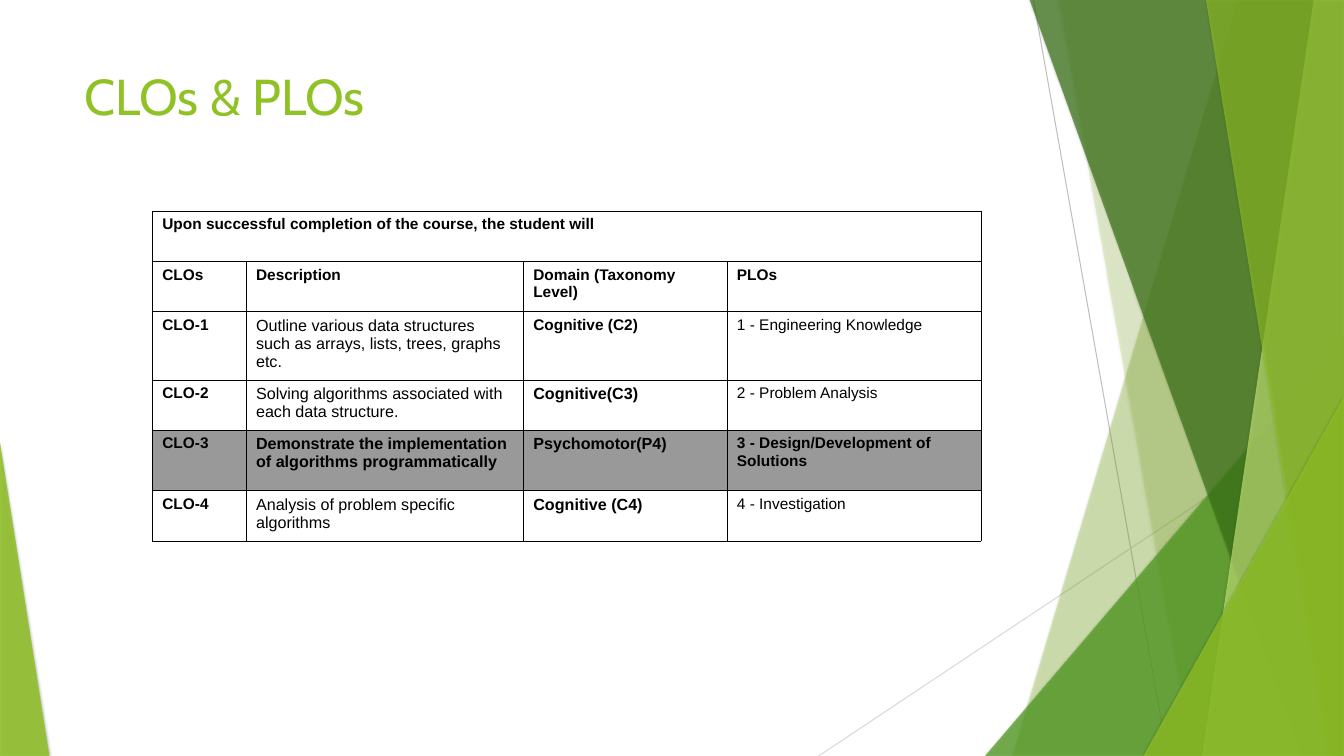
from lxml import etree
from pptx import Presentation
from pptx.dml.color import RGBColor
from pptx.enum import shapes, text
from pptx.oxml import ns
from pptx.util import Inches, Pt

HUES = {"lime": "90C226", "green": "54A021", "dark": "3F7819", "pale": "C0E474",
        "black": "000000", "gray": "999999", "mid": "BFBFBF", "light": "D9D9D9"}
TOP, FOOT, EDGE = -0.01, 7.5, 13.33
COLS = [0.93, 2.75, 2.02, 2.52]
ROWS = [0.5, 0.5, 0.5, 0.5, 0.6, 0.5]
HEADS = ["CLOs", "Description", "Domain (Taxonomy Level)", "PLOs"]
GOALS = [
    ("CLO-1", "Outline various data structures such as arrays, lists, trees, graphs etc.",
     "Cognitive (C2)", "1 - Engineering Knowledge"),
    ("CLO-2", "Solving algorithms associated with each data structure.",
     "Cognitive(C3)", "2 - Problem Analysis"),
    ("CLO-3", "Demonstrate the implementation of algorithms programmatically",
     "Psychomotor(P4)", "3 - Design/Development of Solutions"),
    ("CLO-4", "Analysis of problem specific algorithms",
     "Cognitive (C4)", "4 - Investigation"),
]


def color(name):
    """Return the named colour."""
    return RGBColor.from_string(HUES[name])


def sub(node, tag, **attrs):
    """Append a drawing element to a node."""
    return etree.SubElement(node, ns.qn(tag), **attrs)


def tint(shape, hue, alpha):
    """Give a facet its translucent fill and soft shadow."""
    shape.line.fill.background()
    shape.fill.solid()
    shape.fill.fore_color.rgb = color(hue)
    shape.shadow.inherit = False
    props = shape._element.spPr
    fill = props.find(ns.qn("a:solidFill"))
    sub(fill[0], "a:alpha", val=str(alpha * 1000))
    glow = sub(props.find(ns.qn("a:effectLst")), "a:outerShdw", blurRad=str(Pt(2)),
               dist="0", dir="5400000", rotWithShape="0")
    shade = sub(glow, "a:srgbClr", val=HUES["black"])
    sub(shade, "a:alpha", val="35000")


def facet(slide, high, low, hue, alpha):
    """Draw a panel from a slanted left side to the slide's right edge."""
    pen = slide.shapes.build_freeform(Inches(high), Inches(TOP))
    spots = [(EDGE, TOP), (EDGE, FOOT), (low, FOOT)]
    pen.add_line_segments([(Inches(x), Inches(y)) for x, y in spots], close=True)
    tint(pen.convert_to_shape(), hue, alpha)


def wedge(slide, box, tip, hue, alpha):
    """Draw a right-angled triangle."""
    shape = slide.shapes.add_shape(shapes.MSO_SHAPE.ISOSCELES_TRIANGLE, *map(Inches, box))
    shape.adjustments[0] = tip
    tint(shape, hue, alpha)


def rule(slide, ends, hue):
    """Draw a thin straight line."""
    line = slide.shapes.add_connector(shapes.MSO_CONNECTOR.STRAIGHT, *map(Inches, ends))
    line.line.color.rgb = color(hue)
    line.line.width = Pt(0.75)
    sub(line._element.spPr, "a:effectLst")


def write(para, words, size, face, hue, bold=False):
    """Add one styled run to a paragraph."""
    para.alignment = text.PP_ALIGN.LEFT
    run = para.add_run()
    run.text = words
    font = run.font
    font.size, font.name, font.bold = Pt(size), face, bold
    font.color.rgb = color(hue)


def title(slide, words):
    """Place the slide title."""
    box = slide.shapes.add_textbox(*map(Inches, (0.74, 0.67, 9.4, 1.44)))
    box.text_frame.word_wrap = True
    para = box.text_frame.paragraphs[0]
    para.line_spacing = 0.9
    write(para, words, 36, "Cabin", "lime")


def frame(cell, hue=None):
    """Set the borders and fill of a cell."""
    props = cell._tc.get_or_add_tcPr()
    for side in "LRTB":
        line = sub(props, f"a:ln{side}", w=str(Pt(0.06)))
        sub(sub(line, "a:solidFill"), "a:srgbClr", val=HUES["black"])
    if hue:
        cell.fill.solid()
        cell.fill.fore_color.rgb = color(hue)
    else:
        cell.fill.background()


def style(row, col):
    """Return the text size and weight for a cell."""
    large = row > 1 and (col == 1 or (col == 2 and row > 2))
    bold = row in (0, 1, 4) or col in (0, 2)
    return 11.5 if large else 11, bold


def grid(slide):
    """Build the table of learning outcomes."""
    box = (1.51, 2.09, sum(COLS), sum(ROWS))
    table = slide.shapes.add_table(len(ROWS), len(COLS), *map(Inches, box)).table
    table.first_row = table.horz_banding = False
    for col, width in zip(table.columns, COLS):
        col.width = Inches(width)
    for row, height in zip(table.rows, ROWS):
        row.height = Inches(height)
    table.cell(0, 0).merge(table.cell(0, len(COLS) - 1))
    lead = ["Upon successful completion of the course, the student will"]
    for r, row in enumerate([lead, HEADS, *GOALS]):
        for c in range(len(COLS)):
            cell = table.cell(r, c)
            frame(cell, "gray" if r == 4 else None)
            if c < len(row):
                size, bold = style(r, c)
                write(cell.text_frame.paragraphs[0], row[c], size, "Arial", "black", bold)


def decor(slide):
    """Draw the faceted background."""
    rule(slide, (10.25, 0, 11.58, FOOT), "mid")
    rule(slide, (EDGE, 4.03, 8.12, FOOT), "light")
    facet(slide, 12.28, 10.04, "lime", 30)
    facet(slide, 10.5, 11.82, "lime", 20)
    wedge(slide, (9.77, 3.33, 3.56, 4.17), 1, "green", 72)
    facet(slide, 10.21, 12.91, "dark", 70)
    facet(slide, 13.03, 11.92, "pale", 70)
    facet(slide, 11.96, 13.17, "lime", 65)
    wedge(slide, (11.34, 3.93, 1.99, 3.57), 1, "lime", 80)
    wedge(slide, (0, 4.39, 0.49, 3.11), 0, "lime", 85)


def main():
    """Build and save the slide."""
    deck = Presentation()
    deck.slide_width, deck.slide_height = Inches(EDGE), Inches(FOOT)
    slide = deck.slides.add_slide(deck.slide_layouts[6])
    decor(slide)
    title(slide, "CLOs & PLOs")
    grid(slide)
    deck.save("out.pptx")


if __name__ == "__main__":
    main()
